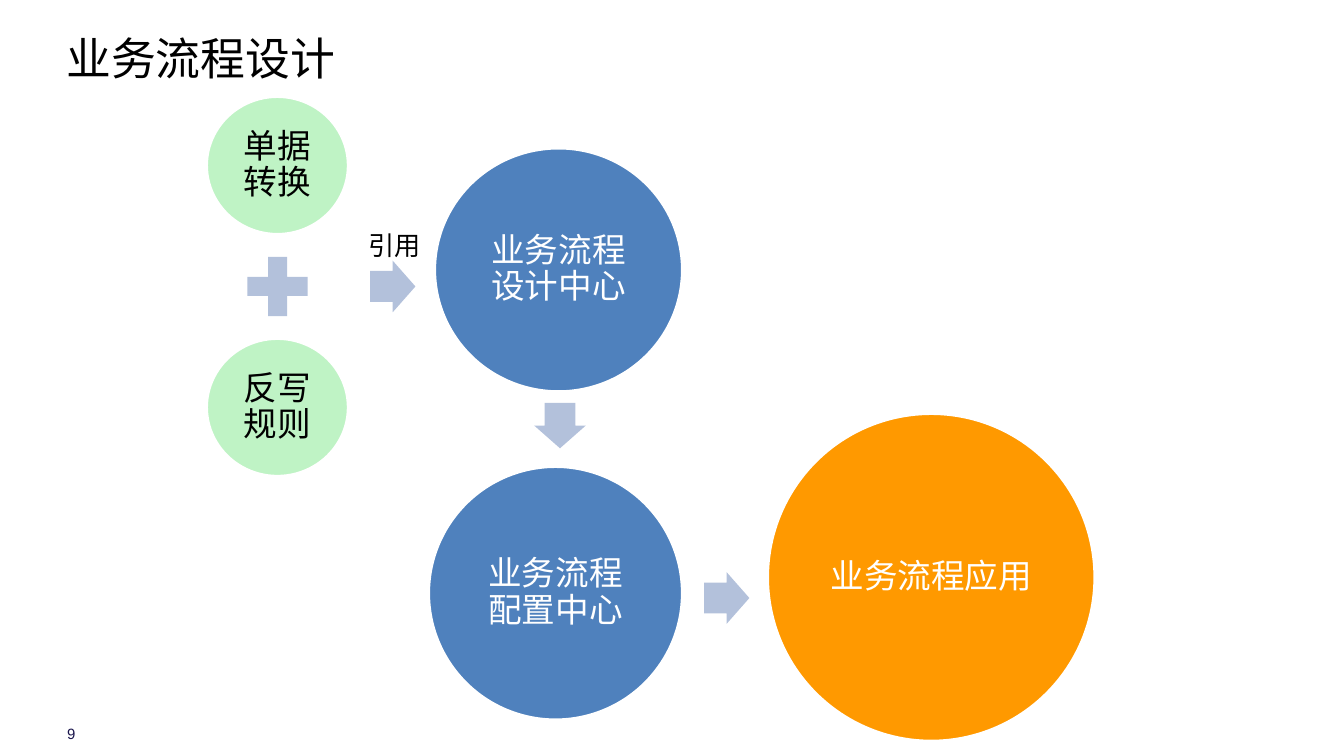
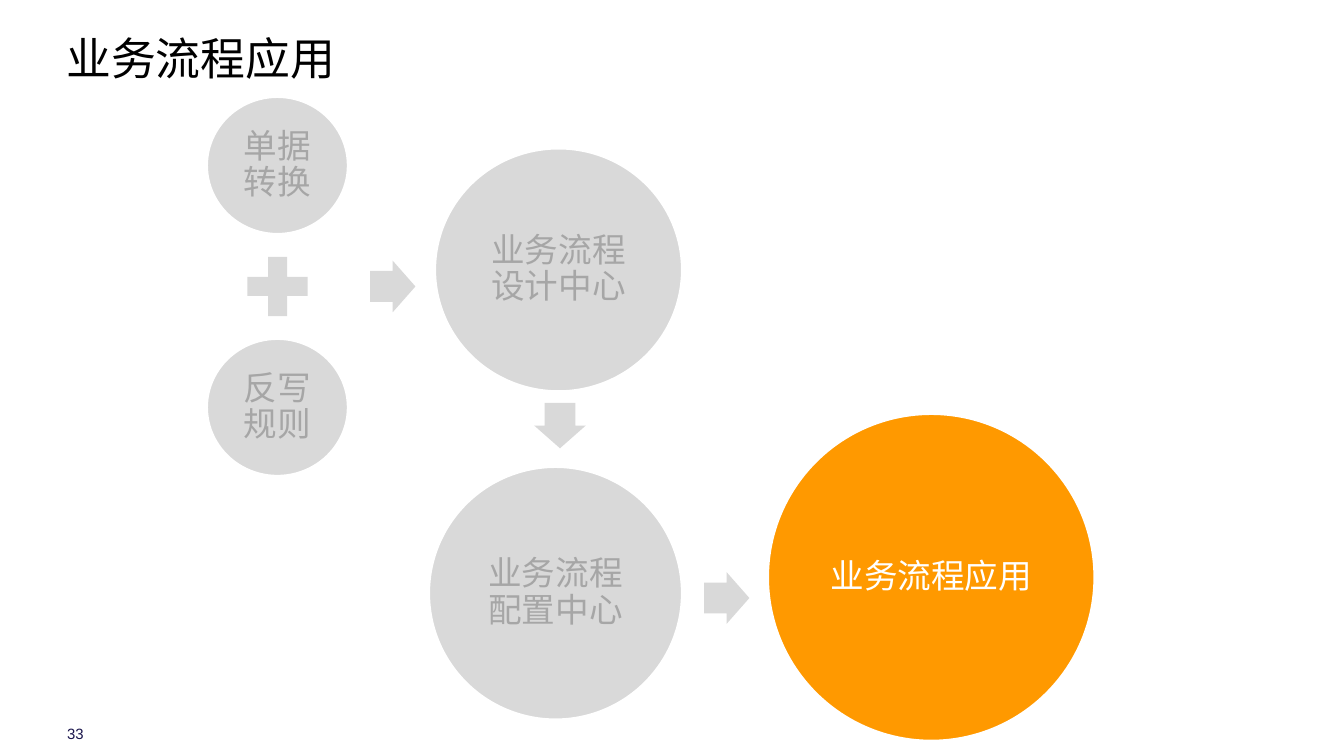
"""Builds the two business process overview slides."""
from dataclasses import dataclass

from lxml.etree import SubElement
from pptx import Presentation
from pptx.dml.color import RGBColor
from pptx.enum.shapes import MSO_SHAPE
from pptx.enum.text import MSO_ANCHOR, MSO_AUTO_SIZE, PP_ALIGN
from pptx.oxml.ns import qn
from pptx.util import Pt


@dataclass(frozen=True)
class Theme:
    black: str = "000000"
    white: str = "FFFFFF"
    green: str = "BFF3C5"
    blue: str = "4F81BD"
    orange: str = "FF9900"
    arrow: str = "B3C1DB"
    muted_fill: str = "D9D9D9"
    muted_text: str = "A6A6A6"
    number: str = "1A154C"
    heading_face: str = "Noto Sans CJK SC"
    circle_face: str = "Calibri"
    number_face: str = "Arial"
    title_size: float = 24
    circle_size: float = 18
    label_size: float = 14
    number_size: float = 8


THEME = Theme()
APPLICATION = "业务流程应用"

PAGES = [
    {"title": "业务流程设计", "number": "9", "muted": False, "label": "引用"},
    {"title": APPLICATION, "number": "33", "muted": True, "label": None},
]

CIRCLES = [
    ("单据转换", (110.4, 51.5, 76.4, 74.3), 13.7, THEME.green, THEME.black),
    ("反写规则", (110.4, 181.1, 76.4, 74.3), 13.7, THEME.green, THEME.black),
    ("业务流程设计中心", (232.6, 79.1, 133.2, 131), 26, THEME.blue, THEME.white),
    ("业务流程配置中心", (229.4, 249.7, 136.4, 136.2), 26, THEME.blue, THEME.white),
    (APPLICATION, (411, 221.3, 175.8, 176), 26, THEME.orange, THEME.white),
]

ARROW_SIZE = (24.3, 27.6)
ARROWS = [((210.4, 153.5), 0), ((300, 228), 90), ((389.3, 320.4), 0)]
PLUS_CENTRE, PLUS_SIZE = (148.7, 153.5), (44, 43.2)

TITLE_BOX = (35.5, 16.5, 661.7, 41)
NUMBER_BOX = (36, 388.1, 18, 9.4)
LABEL_BOX = (190.1, 119.5, 56.9, 24.5)
OVAL_TEXT_INSET = 0.1464


def points(values):
    return [Pt(value) for value in values]


def around(centre, size):
    return [middle - length / 2 for middle, length in zip(centre, size)] + list(size)


def write(frame, text, face, size, color, align=PP_ALIGN.LEFT, anchor=MSO_ANCHOR.TOP):
    frame.word_wrap = True
    frame.auto_size = MSO_AUTO_SIZE.NONE
    frame.vertical_anchor = anchor
    para = frame.paragraphs[0]
    para.text = text
    para.alignment = align
    para.font.name = face
    para.font.size = Pt(size)
    para.font.color.rgb = RGBColor.from_string(color)
    SubElement(para._p.pPr.find(qn("a:defRPr")), qn("a:ea"), typeface=face)
    return para


def set_margins(frame, horizontal, vertical):
    frame.margin_left = frame.margin_right = Pt(horizontal)
    frame.margin_top = frame.margin_bottom = Pt(vertical)


def add_filled(page, kind, area, color):
    shape = page.shapes.add_shape(kind, *points(area))
    shape.shadow.inherit = False
    shape.fill.solid()
    shape.fill.fore_color.rgb = RGBColor.from_string(color)
    shape.line.fill.background()
    return shape


def add_circle(page, text, area, padding, fill, color):
    circle = add_filled(page, MSO_SHAPE.OVAL, area, fill)
    circle.line.color.rgb = RGBColor.from_string(THEME.white)
    circle.line.width = Pt(2)
    frame = circle.text_frame
    set_margins(frame, *(max(0, padding - OVAL_TEXT_INSET * side) for side in area[2:]))
    para = write(frame, text, THEME.circle_face, THEME.circle_size, color,
                 PP_ALIGN.CENTER, MSO_ANCHOR.MIDDLE)
    para.line_spacing = 0.9
    para.space_after = Pt(6.3)


def add_title(page, text):
    title = page.shapes.title
    title.left, title.top, title.width, title.height = points(TITLE_BOX)
    set_margins(title.text_frame, 0, 0)
    write(title.text_frame, text, THEME.heading_face, THEME.title_size, THEME.black)


def add_number(page, text):
    frame = page.shapes.add_textbox(*points(NUMBER_BOX)).text_frame
    set_margins(frame, 0, 0)
    write(frame, text, THEME.number_face, THEME.number_size, THEME.number,
          anchor=MSO_ANCHOR.MIDDLE)


def add_flow(page, muted):
    for text, area, padding, fill, color in CIRCLES:
        if muted and text != APPLICATION:
            fill, color = THEME.muted_fill, THEME.muted_text
        add_circle(page, text, area, padding, fill, color)
    link = THEME.muted_fill if muted else THEME.arrow
    add_filled(page, MSO_SHAPE.MATH_PLUS, around(PLUS_CENTRE, PLUS_SIZE), link)
    for centre, rotation in ARROWS:
        arrow = add_filled(page, MSO_SHAPE.RIGHT_ARROW, around(centre, ARROW_SIZE), link)
        arrow.adjustments[0] = 0.6
        arrow.rotation = rotation


def main():
    deck = Presentation()
    deck.slide_width, deck.slide_height = Pt(720), Pt(405)
    for content in PAGES:
        page = deck.slides.add_slide(deck.slide_layouts[5])
        add_number(page, content["number"])
        add_title(page, content["title"])
        add_flow(page, content["muted"])
        if content["label"]:
            label = page.shapes.add_textbox(*points(LABEL_BOX))
            write(label.text_frame, content["label"], THEME.heading_face,
                  THEME.label_size, THEME.black)
    deck.save("out.pptx")


if __name__ == "__main__":
    main()
